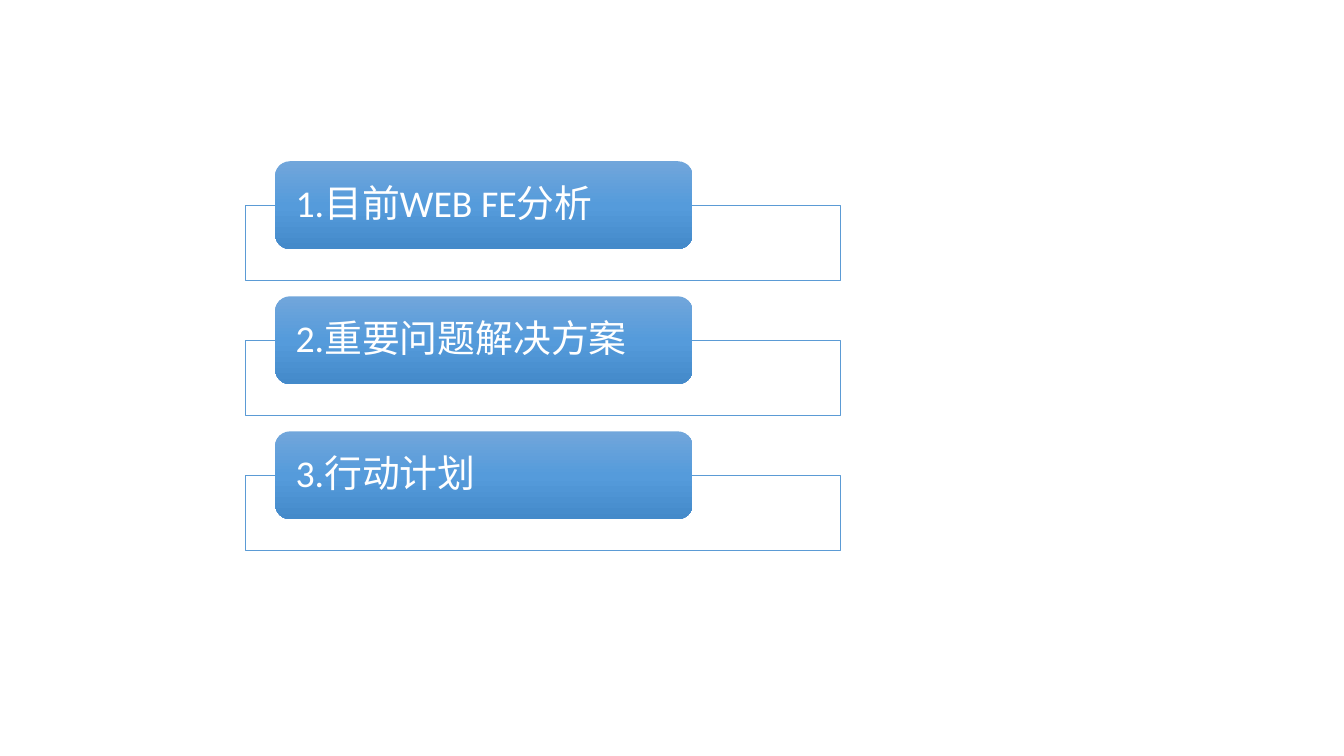
from copy import deepcopy

from pptx import Presentation
from pptx.dml.color import RGBColor
from pptx.enum.shapes import MSO_SHAPE
from pptx.enum.text import MSO_ANCHOR, PP_ALIGN
from pptx.oxml.ns import qn
from pptx.util import Inches, Pt

RECTANGLE = MSO_SHAPE.RECTANGLE
ROUNDED = MSO_SHAPE.ROUNDED_RECTANGLE
MIDDLE = MSO_ANCHOR.MIDDLE
LEFT = PP_ALIGN.LEFT

COLORS = {
    "white": "FFFFFF",
    "outline": "5B9BD5",
    "top": "71A6DB",
    "center": "559BDB",
    "bottom": "448ACA",
}
AGENDA = ["1.目前WEB FE分析", "2.重要问题解决方案", "3.行动计划"]
FIRST_TOP = 1.6
PITCH = 1.34
FRAME_OFFSET = 0.44


class SlideBuilder:
    font = "Calibri"
    size = Pt(27)

    def __init__(self, page):
        self.page = page

    def color(self, name):
        return RGBColor.from_string(COLORS[name])

    def shape(self, kind, left, top, width, height):
        box = self.page.shapes.add_shape(
            kind, Inches(left), Inches(top), Inches(width), Inches(height)
        )
        box.shadow.inherit = False
        return box

    def frame(self, left, top, width, height):
        box = self.shape(RECTANGLE, left, top, width, height)
        box.fill.solid()
        box.fill.fore_color.rgb = self.color("white")
        box.line.color.rgb = self.color("outline")
        box.line.width = Pt(0.5)

    def gradient(self, box, names):
        box.fill.gradient()
        box.fill.gradient_angle = 270
        stop_list = box._element.spPr.find(qn("a:gradFill")).find(qn("a:gsLst"))
        while len(stop_list) < len(names):
            stop_list.append(deepcopy(stop_list[0]))
        for index, (stop, name) in enumerate(zip(box.fill.gradient_stops, names)):
            stop.position = index / (len(names) - 1)
            stop.color.rgb = self.color(name)

    def label(self, text, left, top, width, height):
        box = self.shape(ROUNDED, left, top, width, height)
        self.gradient(box, ["top", "center", "bottom"])
        box.line.fill.background()
        frame = box.text_frame
        frame.word_wrap = True
        frame.vertical_anchor = MIDDLE
        frame.margin_left = frame.margin_right = Inches(0.16)
        frame.margin_top = frame.margin_bottom = 0
        para = frame.paragraphs[0]
        para.text = text
        para.alignment = LEFT
        para.line_spacing = 0.9
        para.font.name = self.font
        para.font.size = self.size
        para.font.color.rgb = self.color("white")


deck = Presentation()
deck.slide_width = Inches(13.33)
deck.slide_height = Inches(7.5)
builder = SlideBuilder(deck.slides.add_slide(deck.slide_layouts[6]))

for row, title in enumerate(AGENDA):
    top = FIRST_TOP + row * PITCH
    builder.frame(2.43, top + FRAME_OFFSET, 5.91, 0.74)
    builder.label(title, 2.73, top, 4.14, 0.87)

deck.save("out.pptx")
